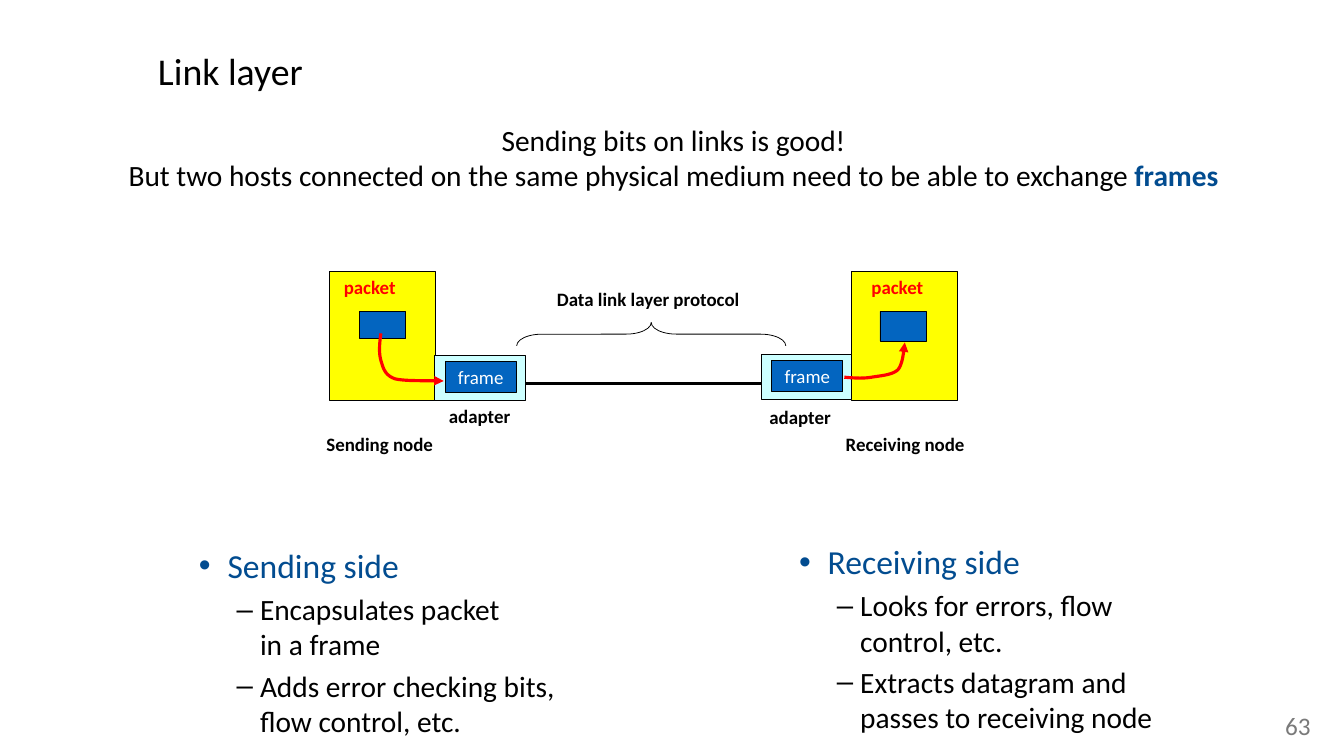
from dataclasses import dataclass

import pptx
import pptx.dml.color
import pptx.enum.shapes
import pptx.enum.text
import pptx.util
from lxml import etree
from pptx.oxml.ns import qn

Inches = pptx.util.Inches
Pt = pptx.util.Pt
SHAPES = pptx.enum.shapes.MSO_SHAPE
ALIGN = pptx.enum.text.PP_ALIGN
ANCHOR = pptx.enum.text.MSO_ANCHOR


@dataclass(frozen=True)
class Theme:
    font: str = "Calibri"
    black: str = "000000"
    white: str = "FFFFFF"
    gray: str = "7A7A7A"
    heading: str = "024C90"
    node: str = "FFFF00"
    adapter: str = "CCFFFF"
    data: str = "0365C0"
    flow: str = "FF0000"
    title_size: int = 36
    heading_size: int = 32
    body_size: int = 28
    number_size: int = 24
    label_size: int = 18
    thin: float = 0.75
    thick: float = 3


THEME = Theme()


def rgb(value):
    return pptx.dml.color.RGBColor.from_string(value)


def place(shape, left, top, width, height):
    shape.left, shape.top = Inches(left), Inches(top)
    shape.width, shape.height = Inches(width), Inches(height)


def prepare_frame(shape, wrap=True, anchor=ANCHOR.TOP, inset=None):
    frame = shape.text_frame
    frame.auto_size = pptx.enum.text.MSO_AUTO_SIZE.NONE
    frame.word_wrap = wrap
    frame.vertical_anchor = anchor
    if inset is not None:
        frame.margin_left = frame.margin_right = Inches(inset)
        frame.margin_top = frame.margin_bottom = Inches(inset)
    return frame


def write(paragraph, text, size=THEME.label_size, color=THEME.black, bold=False,
          align=ALIGN.LEFT):
    """Append text to the paragraph; a newline becomes a line break."""
    paragraph.alignment = align
    for index, line in enumerate(text.split("\n")):
        if index:
            paragraph.add_line_break()
        run = paragraph.add_run()
        run.text = line
        run.font.name = THEME.font
        run.font.size = Pt(size)
        run.font.bold = bold
        run.font.color.rgb = rgb(color)


def indent(paragraph, margin, first_line=0):
    properties = paragraph._p.get_or_add_pPr()
    properties.set("marL", str(Inches(margin)))
    properties.set("indent", str(Inches(first_line)))


def add_label(slide, text, box, wrap=True, inset=None, **text_format):
    label = slide.shapes.add_textbox(*map(Inches, box))
    frame = prepare_frame(label, wrap, inset=inset)
    write(frame.paragraphs[0], text, **text_format)
    return frame


def set_line(shape, color=THEME.black, width=THEME.thin):
    shape.line.color.rgb = rgb(color)
    shape.line.width = Pt(width)


def add_box(slide, box, fill, text=None):
    shape = slide.shapes.add_shape(SHAPES.RECTANGLE, *map(Inches, box))
    shape.shadow.inherit = False
    shape.fill.solid()
    shape.fill.fore_color.rgb = rgb(fill)
    set_line(shape)
    if text:
        frame = prepare_frame(shape, wrap=False, anchor=ANCHOR.MIDDLE)
        write(frame.paragraphs[0], text, color=THEME.white, align=ALIGN.CENTER)


def curve_points(start, curves, steps=12):
    """Sample a chain of cubic curves, each given by two controls and an end."""
    points = [start]
    for first, second, end in curves:
        for step in range(1, steps + 1):
            t = step / steps
            weights = ((1 - t) ** 3, 3 * t * (1 - t) ** 2, 3 * t * t * (1 - t), t ** 3)
            anchors = (start, first, second, end)
            points.append(tuple(
                sum(weight * anchor[axis] for weight, anchor in zip(weights, anchors))
                for axis in (0, 1)))
        start = end
    return points


def add_flow_arrow(slide, start, curves):
    points = [(Inches(x), Inches(y)) for x, y in curve_points(start, curves)]
    builder = slide.shapes.build_freeform(*points[0])
    builder.add_line_segments(points[1:], close=False)
    arrow = builder.convert_to_shape()
    arrow.shadow.inherit = False
    arrow.fill.background()
    set_line(arrow, THEME.flow, THEME.thick)
    etree.SubElement(arrow.line._get_or_add_ln(), qn("a:tailEnd"), type="triangle")


def add_link(slide, left, right, y):
    link = slide.shapes.add_connector(
        pptx.enum.shapes.MSO_CONNECTOR.STRAIGHT,
        Inches(left), Inches(y), Inches(right), Inches(y))
    set_line(link, width=THEME.thick)
    etree.SubElement(link._element.spPr, qn("a:effectLst"))


def add_brace(slide, box):
    brace = slide.shapes.add_shape(SHAPES.LEFT_BRACE, *map(Inches, box))
    brace.rotation = 90
    brace.adjustments[0] = 1.08
    brace.shadow.inherit = False
    brace.fill.background()
    set_line(brace)


def add_host(slide, node_left, packet_box, adapter_left, adapter_top):
    add_box(slide, (node_left, 3.59, 1.4, 1.71), THEME.node)
    add_box(slide, packet_box, THEME.data)
    add_box(slide, (adapter_left, adapter_top, 1.2, 0.6), THEME.adapter)
    add_box(slide, (adapter_left + 0.14, adapter_top + 0.08, 0.94, 0.41),
            THEME.data, "frame")


def fill_title(placeholder, text):
    place(placeholder, 1.74, 0, 14.31, 1.85)
    frame = prepare_frame(placeholder, anchor=ANCHOR.MIDDLE, inset=0)
    indent(frame.paragraphs[0], 0.35)
    write(frame.paragraphs[0], text, size=THEME.title_size)


def fill_list(placeholder, box, heading, items):
    place(placeholder, *box)
    frame = prepare_frame(placeholder)
    paragraph = frame.paragraphs[0]
    paragraph.space_before = Pt(0)
    indent(paragraph, 0.38, -0.38)
    write(paragraph, heading, size=THEME.heading_size, color=THEME.heading)
    for item in items:
        paragraph = frame.add_paragraph()
        paragraph.level = 1
        paragraph.space_before = Pt(5.6)
        indent(paragraph, 0.81, -0.31)
        write(paragraph, item, size=THEME.body_size)


def main():
    presentation = pptx.Presentation()
    presentation.slide_width, presentation.slide_height = Inches(17.78), Inches(10)
    slide = presentation.slides.add_slide(presentation.slide_layouts[3])
    title, sending, receiving = slide.placeholders

    fill_title(title, "Link layer")
    fill_list(sending, (2.53, 7.16, 5.43, 2.71), "Sending side",
              ["Encapsulates packet\nin a frame",
               "Adds error checking bits, flow control, etc."])
    fill_list(receiving, (10.47, 7.11, 4.92, 2.58), "Receiving side",
              ["Looks for errors, flow control, etc.",
               "Extracts datagram and passes to receiving node"])

    intro = {"size": THEME.body_size, "align": ALIGN.CENTER}
    frame = add_label(slide, "Sending bits on links is good!",
                      (0.88, 1.56, 16.06, 1.04), **intro)
    paragraph = frame.add_paragraph()
    write(paragraph, "But two hosts connected on the same physical medium "
          "need to be able to exchange ", **intro)
    write(paragraph, "frames", color=THEME.heading, bold=True, **intro)

    add_link(slide, 6.94, 10.08, 5.07)
    add_host(slide, 4.36, (4.76, 4.12, 0.61, 0.36), 5.75, 4.7)
    add_host(slide, 11.27, (11.64, 4.12, 0.61, 0.39), 10.07, 4.69)
    add_brace(slide, (8.46, 2.64, 0.31, 3.56))
    add_flow_arrow(slide, (5.04, 4.41), [
        ((5.02, 4.54), (5.01, 4.67), (5.04, 4.77)),
        ((5.07, 4.87), (5.09, 4.96), (5.22, 5.01)),
        ((5.36, 5.05), (5.77, 5.03), (5.87, 5.04))])
    add_flow_arrow(slide, (11.17, 4.99), [
        ((11.29, 5), (11.41, 5.01), (11.53, 4.99)),
        ((11.65, 4.97), (11.81, 4.96), (11.88, 4.89)),
        ((11.95, 4.81), (11.96, 4.59), (11.97, 4.53))])

    for text, box in [("Sending node", (4.22, 5.67, 1.93, 0.52)),
                      ("Receiving node", (11.09, 5.67, 1.83, 0.4)),
                      ("adapter", (5.84, 5.3, 1.16, 0.52)),
                      ("adapter", (10.08, 5.31, 1.16, 0.52)),
                      ("Data link layer protocol", (7.27, 3.75, 2.67, 0.4))]:
        add_label(slide, text, box, bold=True)
    for box in [(4.45, 3.59, 1.06, 0.52), (11.43, 3.59, 1.02, 0.52)]:
        add_label(slide, "packet", box, wrap=False, color=THEME.flow, bold=True)
    add_label(slide, "63", (16.94, 9.39, 0.46, 0.5), wrap=False, inset=0,
              size=THEME.number_size, color=THEME.gray, align=ALIGN.CENTER)

    presentation.save("out.pptx")


if __name__ == "__main__":
    main()
